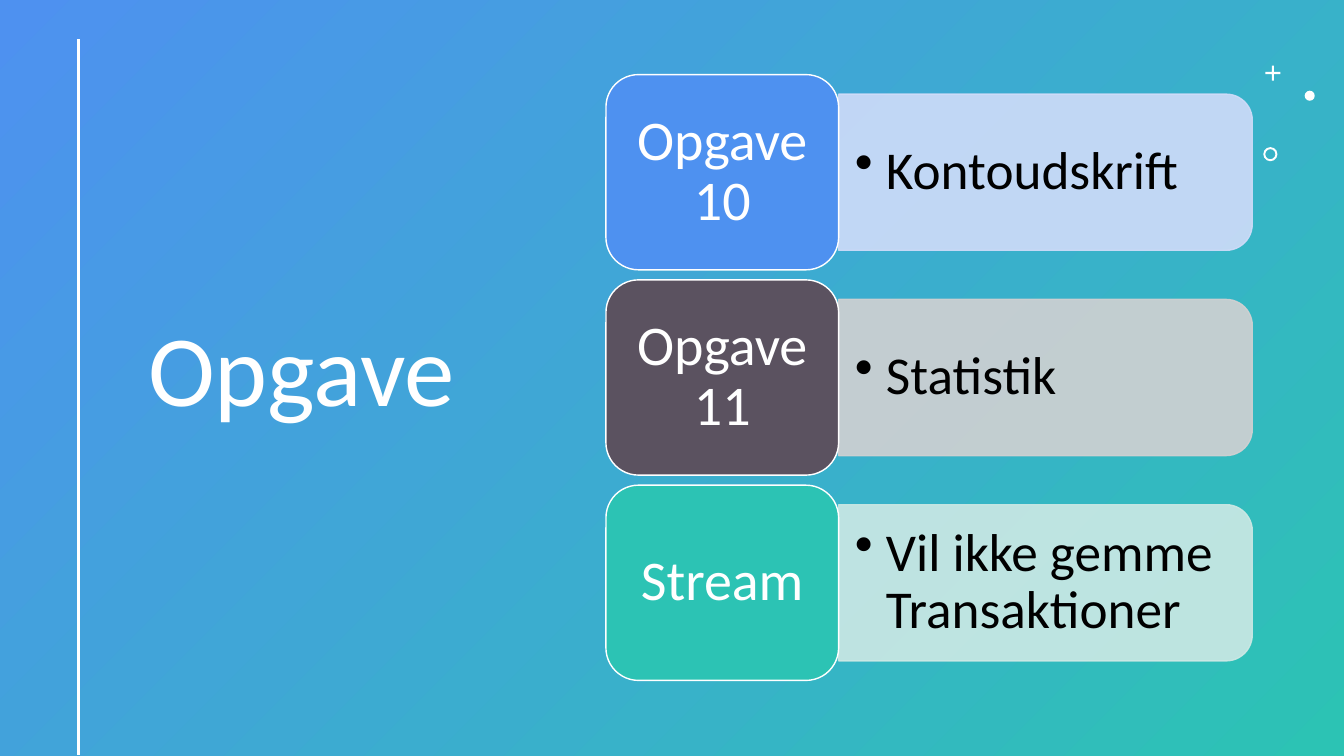
from lxml.etree import SubElement
from pptx import Presentation
from pptx.dml.color import RGBColor
from pptx.enum.shapes import MSO_CONNECTOR, MSO_SHAPE
from pptx.enum.text import MSO_ANCHOR, MSO_AUTO_SIZE, PP_ALIGN
from pptx.oxml.ns import qn
from pptx.util import Inches, Pt

WIDTH, HEIGHT = 13.33, 7.5
WHITE, BLACK, BLUE, PLUM, TEAL = "FFFFFF", "000000", "4E91F0", "5B5260", "2CC3B4"
TASKS = [
    ("Opgave 10", "Kontoudskrift", BLUE, "D0DCF9"),
    ("Opgave 11", "Statistik", PLUM, "D2D1D2"),
    ("Stream", "Vil ikke gemme Transaktioner", TEAL, "CDE9E5"),
]


def color(hex_code):
    return RGBColor.from_string(hex_code)


def add_box(slide, kind, left, top, width, height, fill=None, line=None):
    shape = slide.shapes.add_shape(
        kind, Inches(left), Inches(top), Inches(width), Inches(height))
    shape.shadow.inherit = False
    if fill:
        shape.fill.solid()
        shape.fill.fore_color.rgb = color(fill)
    if line:
        shape.line.color.rgb = color(line)
        shape.line.width = Pt(1)
    else:
        shape.line.fill.background()
    return shape


def write_text(shape, text, size, hex_code, align, margins, bullet=False):
    frame = shape.text_frame
    side, edge = map(Inches, margins)
    settings = {
        "word_wrap": True, "auto_size": MSO_AUTO_SIZE.NONE,
        "vertical_anchor": MSO_ANCHOR.MIDDLE,
        "margin_left": side, "margin_right": side,
        "margin_top": edge, "margin_bottom": edge,
    }
    for name, value in settings.items():
        setattr(frame, name, value)
    frame.text = text
    paragraph = frame.paragraphs[0]
    paragraph.alignment = align
    paragraph.line_spacing = 0.9
    if bullet:
        properties = paragraph._p.get_or_add_pPr()
        properties.set("marL", str(Inches(0.31)))
        properties.set("indent", str(Inches(-0.31)))
        SubElement(properties, qn("a:buChar")).set("char", "•")
    font = paragraph.runs[0].font
    for name, value in {"name": "Calibri", "size": Pt(size)}.items():
        setattr(font, name, value)
    font.color.rgb = color(hex_code)


def add_background(slide):
    panel = add_box(slide, MSO_SHAPE.RECTANGLE, 0, 0, WIDTH, HEIGHT)
    panel.fill.gradient()
    panel.fill.gradient_angle = 315
    for stop, hex_code in zip(panel.fill.gradient_stops, (BLUE, TEAL)):
        stop.color.rgb = color(hex_code)
    # Send the panel behind the title
    tree = panel._element.getparent()
    tree.insert(2, panel._element)


def add_title(slide, left, top, width, height):
    title = slide.shapes.title
    title.left, title.top = Inches(left), Inches(top)
    title.width, title.height = Inches(width), Inches(height)
    write_text(title, "Opgave", 72, WHITE, PP_ALIGN.LEFT, (0.1, 0.05))


def add_side_line(slide, x, top, bottom):
    line = slide.shapes.add_connector(
        MSO_CONNECTOR.STRAIGHT, Inches(x), Inches(top), Inches(x), Inches(bottom))
    line.line.color.rgb = color(WHITE)
    line.line.width = Pt(2)
    SubElement(line._element.spPr, qn("a:effectLst"))


def add_ornaments(slide, left, top):
    ornaments = [
        (MSO_SHAPE.CROSS, 0.02, 0, 0.15, 0.43),
        (MSO_SHAPE.OVAL, 0.41, 0.25, 0.1, None),
        (MSO_SHAPE.DONUT, 0, 0.81, 0.14, 0.14),
    ]
    for kind, dx, dy, size, adjustment in ornaments:
        shape = add_box(slide, kind, left + dx, top + dy, size, size, WHITE)
        if adjustment:
            shape.adjustments[0] = adjustment


def add_task_row(slide, left, top, width, height, task):
    label, detail, card_color, tab_color = task
    card_width = 0.36 * width
    tab_left, tab_width, tab_height = left + card_width, 0.64 * width, 0.8 * height
    middle = top + height / 2

    # Tab, turned so that its round corners point right
    tab = add_box(slide, MSO_SHAPE.ROUND_2_SAME_RECTANGLE,
                  tab_left + (tab_width - tab_height) / 2, middle - tab_width / 2,
                  tab_height, tab_width, tab_color, tab_color)
    tab.rotation = 90
    for paint in tab._element.spPr.iter(qn("a:srgbClr")):
        SubElement(paint, qn("a:alpha")).set("val", "90000")

    # Detail text on the tab
    detail_box = slide.shapes.add_textbox(
        Inches(tab_left), Inches(middle - 0.7), Inches(tab_width - 0.08), Inches(1.4))
    write_text(detail_box, detail, 38, BLACK, PP_ALIGN.LEFT, (0.16, 0.08), bullet=True)

    # Card with the label
    card = add_box(slide, MSO_SHAPE.ROUNDED_RECTANGLE,
                   left, top, card_width, height, card_color, WHITE)
    write_text(card, label, 40, WHITE, PP_ALIGN.CENTER, (0.17, 0.08))


def add_task_list(slide, left, top, width, height, gap=0.1):
    row_height = (height - gap * (len(TASKS) - 1)) / len(TASKS)
    for index, task in enumerate(TASKS):
        add_task_row(slide, left, top + index * (row_height + gap),
                     width, row_height, task)


def main():
    presentation = Presentation()
    presentation.slide_width = Inches(WIDTH)
    presentation.slide_height = Inches(HEIGHT)
    slide = presentation.slides.add_slide(presentation.slide_layouts[5])
    add_background(slide)
    add_title(slide, 1.37, 0.65, 4.31, 6.11)
    add_side_line(slide, 0.78, 0.39, 7.49)
    add_ornaments(slide, 12.53, 0.65)
    add_task_list(slide, 6.01, 0.74, 6.41, 6.01)
    presentation.save("out.pptx")


if __name__ == "__main__":
    main()
